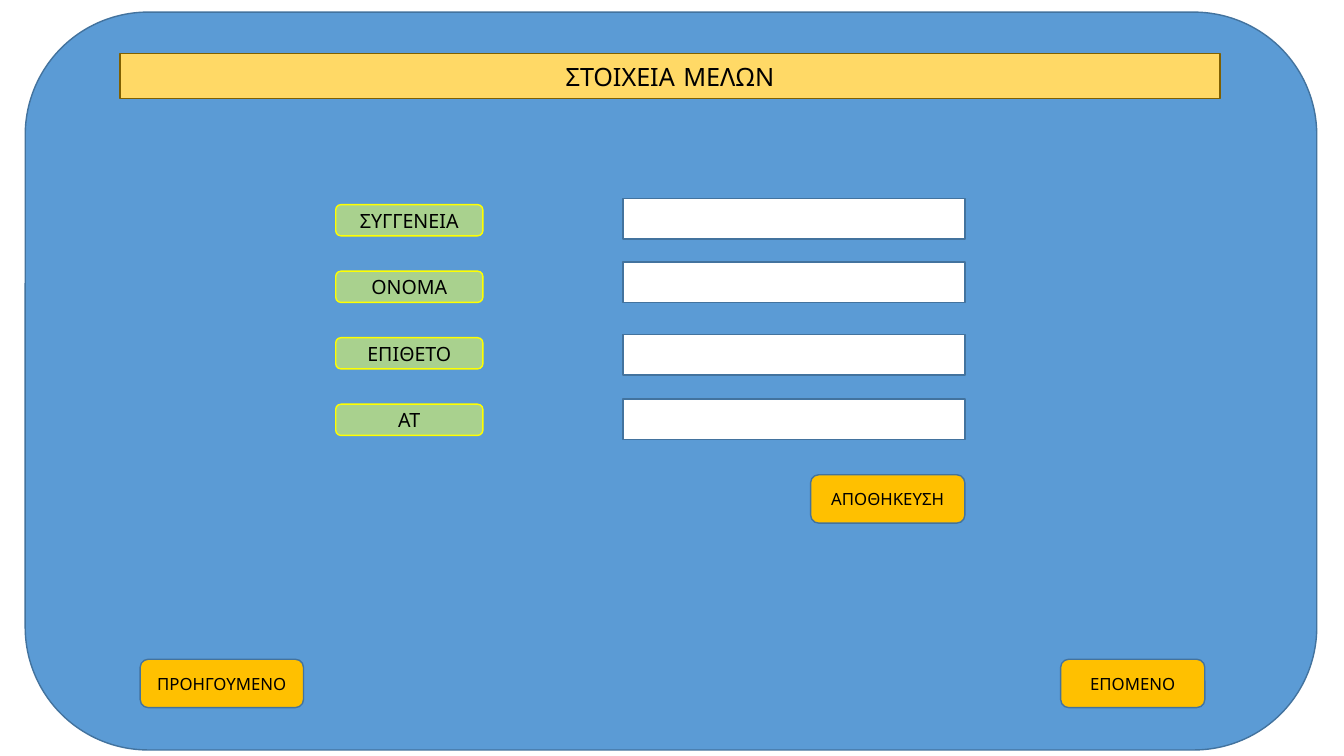
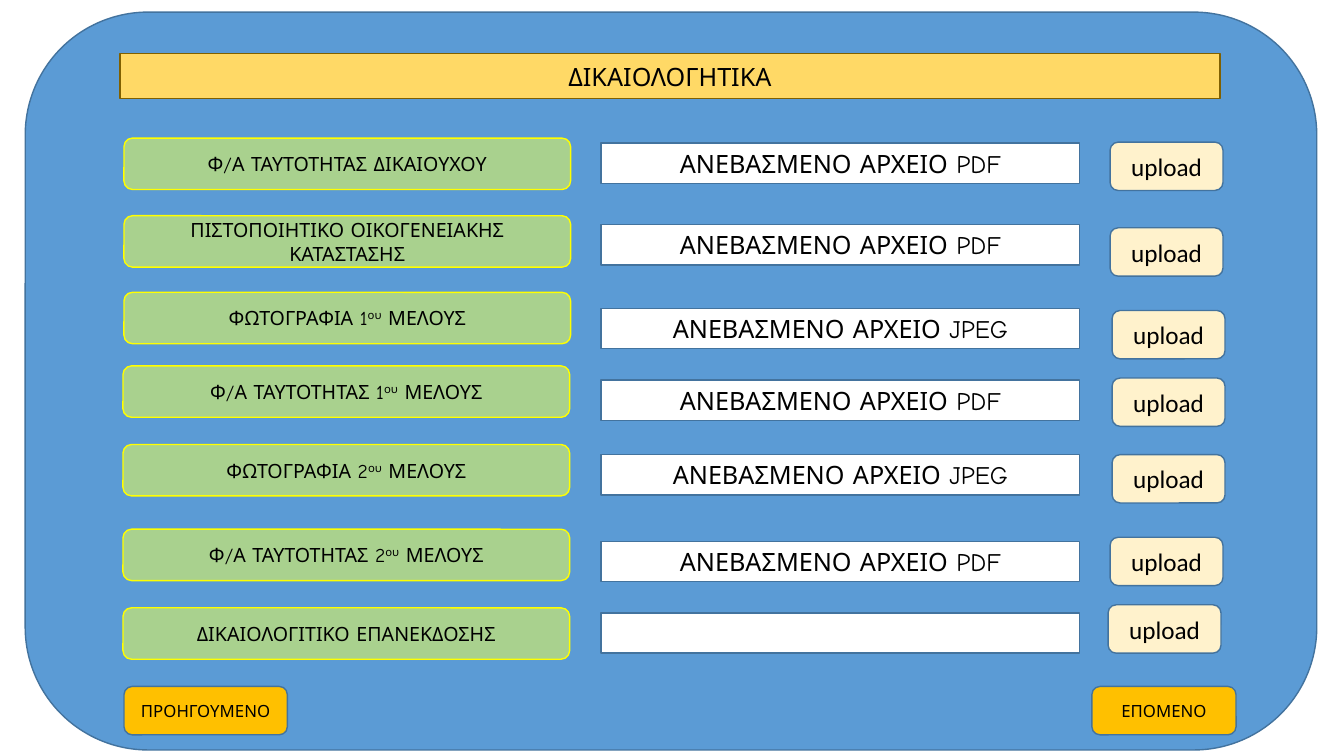
"""Build two form screens: member details and supporting documents."""
from dataclasses import dataclass
from typing import NamedTuple, Optional

from pptx import Presentation
from pptx.dml.color import RGBColor
from pptx.enum.shapes import MSO_SHAPE as Preset
from pptx.enum.text import MSO_ANCHOR as Anchor, MSO_AUTO_SIZE as AutoSize, PP_ALIGN as Align
from pptx.util import Inches, Pt


@dataclass(frozen=True)
class Theme:
    panel: str = "5B9BD5"
    banner: str = "FFD966"
    banner_line: str = "806000"
    label: str = "A9D18E"
    label_line: str = "FFFF00"
    field: str = "FFFFFF"
    button: str = "FFC000"
    upload: str = "FFF2CC"
    outline: str = "43739E"
    text: str = "000000"
    font: str = "Comic Neue"
    upload_font: str = "Calibri"
    large: int = 18
    medium: int = 14
    small: int = 12


THEME = Theme()


class Box(NamedTuple):
    left: float
    top: float
    width: float
    height: float


class Style(NamedTuple):
    fill: str
    line: str = THEME.outline
    preset: Preset = Preset.ROUNDED_RECTANGLE
    size: int = THEME.small
    font: str = THEME.font


class DocumentRow(NamedTuple):
    label: str
    file_type: Optional[str]
    label_left: float
    label_top: float
    field_top: float
    upload_left: float
    upload_top: float


PANEL = Style(THEME.panel)
BANNER = Style(THEME.banner, THEME.banner_line, size=THEME.large)
LABEL = Style(THEME.label, THEME.label_line, size=THEME.medium)
FIELD = Style(THEME.field, preset=Preset.RECTANGLE, size=THEME.large)
BUTTON = Style(THEME.button)
UPLOAD = Style(THEME.upload, size=THEME.large, font=THEME.upload_font)

PANEL_BOX = Box(0.25, 0.12, 12.81, 7.32)
BANNER_BOX = Box(1.19, 0.53, 10.91, 0.45)
BUTTON_HEIGHT = 0.48
FIELD_HEIGHT = 0.4

MEMBER_LABELS = ("ΣΥΓΓΕΝΕΙΑ", "ΟΝΟΜΑ", "ΕΠΙΘΕΤΟ", "ΑΤ")
MEMBER_FIELD_TOPS = (1.97, 2.6, 3.32, 3.96)
LABEL_TOP, LABEL_PITCH = 2.03, 0.66

DOCUMENTS = (
    DocumentRow("Φ/Α ΤΑΥΤΟΤΗΤΑΣ ΔΙΚΑΙΟΥΧΟΥ", "PDF", 1.23, 1.37, 1.42, 11.01, 1.41),
    DocumentRow("ΠΙΣΤΟΠΟΙΗΤΙΚΟ ΟΙΚΟΓΕΝΕΙΑΚΗΣ ΚΑΤΑΣΤΑΣΗΣ", "PDF", 1.23, 2.14, 2.23, 11.01, 2.26),
    DocumentRow("ΦΩΤΟΓΡΑΦΙΑ 1^ου^ ΜΕΛΟΥΣ", "JPEG", 1.23, 2.9, 3.06, 11.03, 3.08),
    DocumentRow("Φ/Α ΤΑΥΤΟΤΗΤΑΣ 1^ου^ ΜΕΛΟΥΣ", "PDF", 1.22, 3.63, 3.77, 11.03, 3.75),
    DocumentRow("ΦΩΤΟΓΡΑΦΙΑ 2^ου^ ΜΕΛΟΥΣ", "JPEG", 1.22, 4.41, 4.51, 11.03, 4.51),
    DocumentRow("Φ/Α ΤΑΥΤΟΤΗΤΑΣ 2^ου^ ΜΕΛΟΥΣ", "PDF", 1.22, 5.25, 5.37, 11.01, 5.33),
    DocumentRow("ΔΙΚΑΙΟΛΟΓΙΤΙΚΟ ΕΠΑΝΕΚΔΟΣΗΣ", None, 1.22, 6.03, 6.08, 10.99, 6),
)


def paint(shape, style: Style) -> None:
    shape.fill.solid()
    shape.fill.fore_color.rgb = RGBColor.from_string(style.fill)
    shape.line.color.rgb = RGBColor.from_string(style.line)
    shape.line.width = Pt(1)


def write(shape, text: str, style: Style) -> None:
    frame = shape.text_frame
    frame.word_wrap = True
    frame.auto_size = AutoSize.NONE
    frame.vertical_anchor = Anchor.MIDDLE
    paragraph = frame.paragraphs[0]
    paragraph.alignment = Align.CENTER
    for index, part in enumerate(text.split("^")):
        run = paragraph.add_run()
        run.text = part
        run.font.size = Pt(style.size)
        run.font.name = style.font
        run.font.color.rgb = RGBColor.from_string(THEME.text)
        if index % 2:
            run.font._element.set("baseline", "30000")


def add_box(slide, box: Box, style: Style, text: str = ""):
    shape = slide.shapes.add_shape(style.preset, *map(Inches, box))
    shape.shadow.inherit = False
    paint(shape, style)
    if text:
        write(shape, text, style)
    return shape


def add_screen(presentation, title: str):
    slide = presentation.slides.add_slide(presentation.slide_layouts[5])
    banner = slide.shapes.title
    panel = add_box(slide, PANEL_BOX, PANEL)
    banner.element.addprevious(panel.element)
    banner.left, banner.top, banner.width, banner.height = map(Inches, BANNER_BOX)
    paint(banner, BANNER)
    write(banner, title, BANNER)
    return slide


def add_navigation(slide, previous_left: float, next_left: float, top: float) -> None:
    add_box(slide, Box(previous_left, top, 1.62, BUTTON_HEIGHT), BUTTON, "ΠΡΟΗΓΟΥΜΕΝΟ")
    add_box(slide, Box(next_left, top, 1.43, BUTTON_HEIGHT), BUTTON, "ΕΠΟΜΕΝΟ")


def add_member_screen(presentation) -> None:
    slide = add_screen(presentation, "ΣΤΟΙΧΕΙΑ ΜΕΛΩΝ")
    for index, (label, field_top) in enumerate(zip(MEMBER_LABELS, MEMBER_FIELD_TOPS)):
        label_top = LABEL_TOP + index * LABEL_PITCH
        add_box(slide, Box(3.33, label_top, 1.46, 0.31), LABEL, label)
        add_box(slide, Box(6.18, field_top, 3.39, FIELD_HEIGHT), FIELD)
    add_box(slide, Box(8.04, 4.71, 1.53, BUTTON_HEIGHT), BUTTON, "ΑΠΟΘΗΚΕΥΣΗ")
    add_navigation(slide, 1.39, 10.52, 6.54)


def add_document_screen(presentation) -> None:
    slide = add_screen(presentation, "ΔΙΚΑΙΟΛΟΓΗΤΙΚΑ")
    for row in DOCUMENTS:
        uploaded = f"ΑΝΕΒΑΣΜΕΝΟ ΑΡΧΕΙΟ {row.file_type}" if row.file_type else ""
        add_box(slide, Box(row.label_left, row.label_top, 4.43, 0.51), LABEL, row.label)
        add_box(slide, Box(5.96, row.field_top, 4.75, FIELD_HEIGHT), FIELD, uploaded)
        add_box(slide, Box(row.upload_left, row.upload_top, 1.12, BUTTON_HEIGHT), UPLOAD, "upload")
    add_navigation(slide, 1.23, 10.83, 6.81)


def main() -> None:
    presentation = Presentation()
    presentation.slide_width = Inches(13.33)
    presentation.slide_height = Inches(7.5)
    add_member_screen(presentation)
    add_document_screen(presentation)
    presentation.save("out.pptx")


if __name__ == "__main__":
    main()
